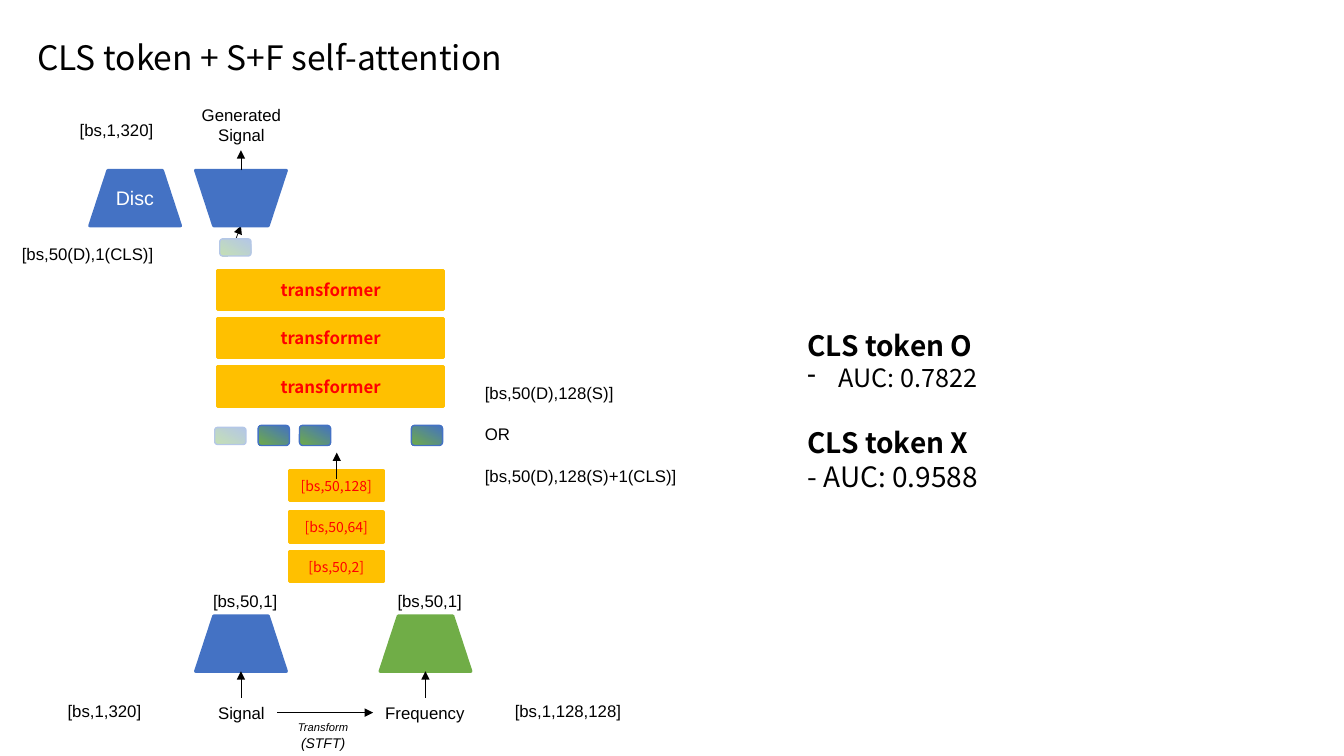
from lxml import etree
from pptx import Presentation
from pptx.dml.color import RGBColor
from pptx.enum import shapes, text
from pptx.oxml import ns
from pptx.util import Inches, Pt

HUES = {"black": "000000", "white": "FFFFFF", "red": "FF0000", "gold": "FFC000",
        "blue": "4472C4", "green": "70AD47", "sky": "B4C7E7", "mint": "C5E0B4"}
SANS, NOTO = "Arial", "Noto Sans CJK KR"
KIND = shapes.MSO_SHAPE
LEFT, MID, RIGHT = text.PP_ALIGN.LEFT, text.PP_ALIGN.CENTER, text.PP_ALIGN.RIGHT


def hue(name):
    return RGBColor.from_string(HUES[name])


def style(para, size, face=SANS, color="black", bold=False, italic=False, align=LEFT):
    para.alignment = align
    font = para.font
    font.size, font.name = Pt(size), face
    font.bold, font.italic = bold, italic
    font.color.rgb = hue(color)


def frame(slide, x, y, w, h, lines):
    """Add a wrapping text box and return its frame and paragraphs."""
    box = slide.shapes.add_textbox(Inches(x), Inches(y), Inches(w), Inches(h))
    body = box.text_frame
    body.word_wrap = True
    body.text = "\n".join(lines)
    return body, body.paragraphs


def label(slide, x, y, w, *lines, h=0.3, size=12, align=MID, **look):
    body, paras = frame(slide, x, y, w, h, lines)
    for para in paras:
        style(para, size, align=align, **look)
    return paras


def block(slide, kind, x, y, w, h, fill, edge=None, width=2.25):
    """Add a shape; a pair of fill names makes a gradient."""
    item = slide.shapes.add_shape(kind, Inches(x), Inches(y), Inches(w), Inches(h))
    item.shadow.inherit = False
    if isinstance(fill, tuple):
        item.fill.gradient()
        item.fill.gradient_angle = 240
        for stop, name in zip(item.fill.gradient_stops, fill):
            stop.color.rgb = hue(name)
    else:
        item.fill.solid()
        item.fill.fore_color.rgb = hue(fill)
    item.line.color.rgb = hue(edge or fill)
    item.line.width = Pt(width)
    return item


def bar(slide, x, y, w, h, words, size, bold=False):
    item = block(slide, KIND.RECTANGLE, x, y, w, h, "gold")
    body = item.text_frame
    body.vertical_anchor = text.MSO_ANCHOR.MIDDLE
    body.text = words
    style(body.paragraphs[0], size, NOTO, "red", bold, align=MID)


def funnel(slide, x, y, fill, turn=180):
    item = block(slide, KIND.FLOWCHART_MANUAL_OPERATION, x, y, 0.9, 0.55, fill)
    item.rotation = turn


def token(slide, x, y, cls=False):
    fill = ("sky", "mint") if cls else ("blue", "green")
    block(slide, KIND.ROUNDED_RECTANGLE, x, y, 0.31, 0.17 if cls else 0.2,
          fill, fill[0], 1)


def arrow(slide, x1, y1, x2, y2):
    line = slide.shapes.add_connector(shapes.MSO_CONNECTOR.STRAIGHT,
                                      *map(Inches, (x1, y1, x2, y2)))
    line.line.color.rgb = hue("black")
    line.line.width = Pt(0.5)
    tip = etree.SubElement(line.line._get_or_add_ln(), ns.qn("a:tailEnd"))
    tip.set("type", "triangle")
    etree.SubElement(line._element.spPr, ns.qn("a:effectLst"))


def title(slide, x, y, w, h):
    body, paras = frame(slide, x, y, w, h, ["CLS token + S+F self-attention"])
    body.vertical_anchor = text.MSO_ANCHOR.MIDDLE
    paras[0].line_spacing = 0.9
    style(paras[0], 24, NOTO)


def inputs(slide, x, y):
    """Signal and frequency encoders with the transform between them."""
    for dx, fill in ((0, "blue"), (1.83, "green")):
        funnel(slide, x + dx, y + 0.3, fill)
        arrow(slide, x + dx + 0.45, y + 1.11, x + dx + 0.45, y + 0.85)
        label(slide, x + dx - 0.07, y, 0.98, "[bs,50,1]", align=RIGHT)
    label(slide, x + 0.09, y + 1.11, 0.73, "Signal")
    label(slide, x + 1.76, y + 1.11, 1.03, "Frequency")
    arrow(slide, x + 0.81, y + 1.26, x + 1.76, y + 1.26)
    steps = label(slide, x + 0.9, y + 1.29, 0.73, "Transform", "(STFT)",
                  h=0.4, size=10, italic=True)
    steps[0].font.size = Pt(8)
    label(slide, x - 1.42, y + 1.09, 0.98, "[bs,1,320]", align=RIGHT)
    label(slide, x + 3.04, y + 1.09, 1.28, "[bs,1,128,128]", align=RIGHT)


def fusion(slide, x, y):
    """Stacked features feeding the token row."""
    for dy, size in ((0, 128), (0.41, 64), (0.8, 2)):
        bar(slide, x, y + dy, 0.93, 0.3, f"[bs,50,{size}]", 10)
    arrow(slide, x + 0.47, y + 0.08, x + 0.47, y - 0.18)


def encoder(slide, x, y):
    """Transformer stack, its tokens and their sizes."""
    for row in range(3):
        bar(slide, x, y + row * 0.48, 2.24, 0.39, "transformer", 12, True)
    token(slide, x - 0.03, y + 1.56, cls=True)
    for dx in (0.4, 0.81, 1.92):
        token(slide, x + dx, y + 1.54)
    sizes = label(slide, x + 2.55, y + 1.07, 2.19, "[bs,50(D),128(S)]", "OR",
                  "[bs,50(D),128(S)+1(CLS)]", h=1.31, align=LEFT)
    for para in sizes[1:]:
        para.space_before = Pt(15)


def output(slide, x, y):
    """Decoder, discriminator and generated signal."""
    arrow(slide, x + 2.24, y + 1.38, x + 2.29, y + 1.25)
    token(slide, x + 2.08, y + 1.38, cls=True)
    funnel(slide, x + 1.84, y + 0.7, "blue", 0)
    arrow(slide, x + 2.29, y + 0.7, x + 2.29, y + 0.5)
    label(slide, x + 1.78, y, 1.03, "Generated", "Signal", h=0.5)
    funnel(slide, x + 0.79, y + 0.7, "blue")
    label(slide, x + 0.95, y + 0.81, 0.82, "Disc", h=0.34, size=14,
          align=LEFT, color="white")
    label(slide, x, y + 0.15, 1.52, "[bs,1,320]", align=RIGHT)
    label(slide, x, y + 1.38, 1.52, "[bs,50(D),1(CLS)]", align=RIGHT)


def results(slide, x, y, w, h):
    lines = ["CLS token O", "AUC: 0.7822", "CLS token X", "- AUC: 0.9588"]
    paras = frame(slide, x, y, w, h, lines)[1]
    props = paras[1]._p.get_or_add_pPr()
    props.set("marL", str(Inches(0.31)))
    props.set("indent", str(-Inches(0.31)))
    etree.SubElement(props, ns.qn("a:buChar")).set("char", "-")
    for para, size, bold in zip(paras, (20, 18, 20, 20), (True, False, True, False)):
        style(para, size, NOTO, bold=bold)
    paras[2].space_before = Pt(24)


def main():
    deck = Presentation()
    deck.slide_width, deck.slide_height = Inches(13.33), Inches(7.5)
    slide = deck.slides.add_slide(deck.slide_layouts[6])
    title(slide, 0.27, -0.13, 11.5, 1.45)
    results(slide, 7.91, 3.21, 4.31, 1.75)
    inputs(slide, 1.94, 5.81)
    fusion(slide, 2.87, 4.67)
    encoder(slide, 2.16, 2.68)
    output(slide, 0.1, 0.99)
    deck.save("out.pptx")


if __name__ == "__main__":
    main()
